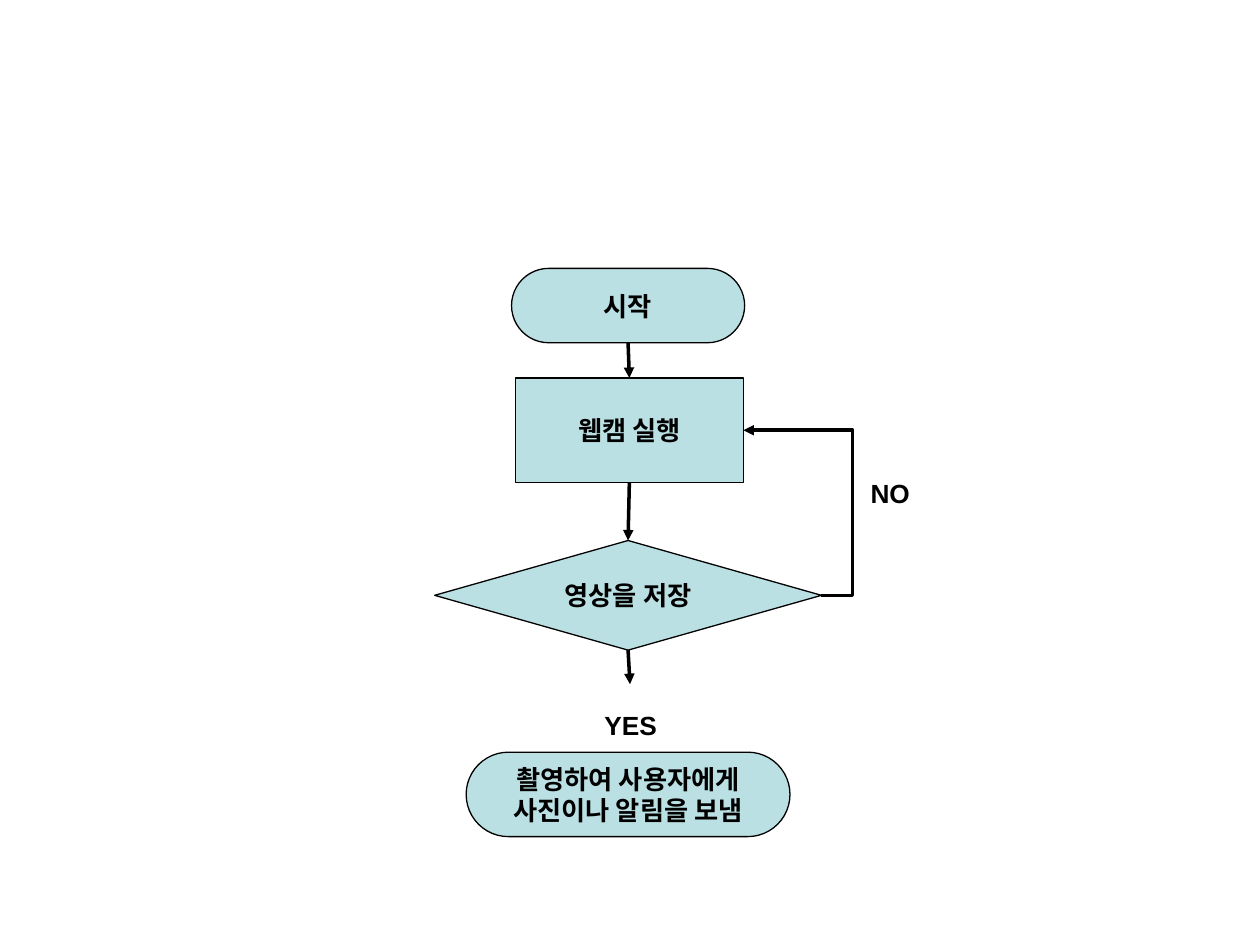
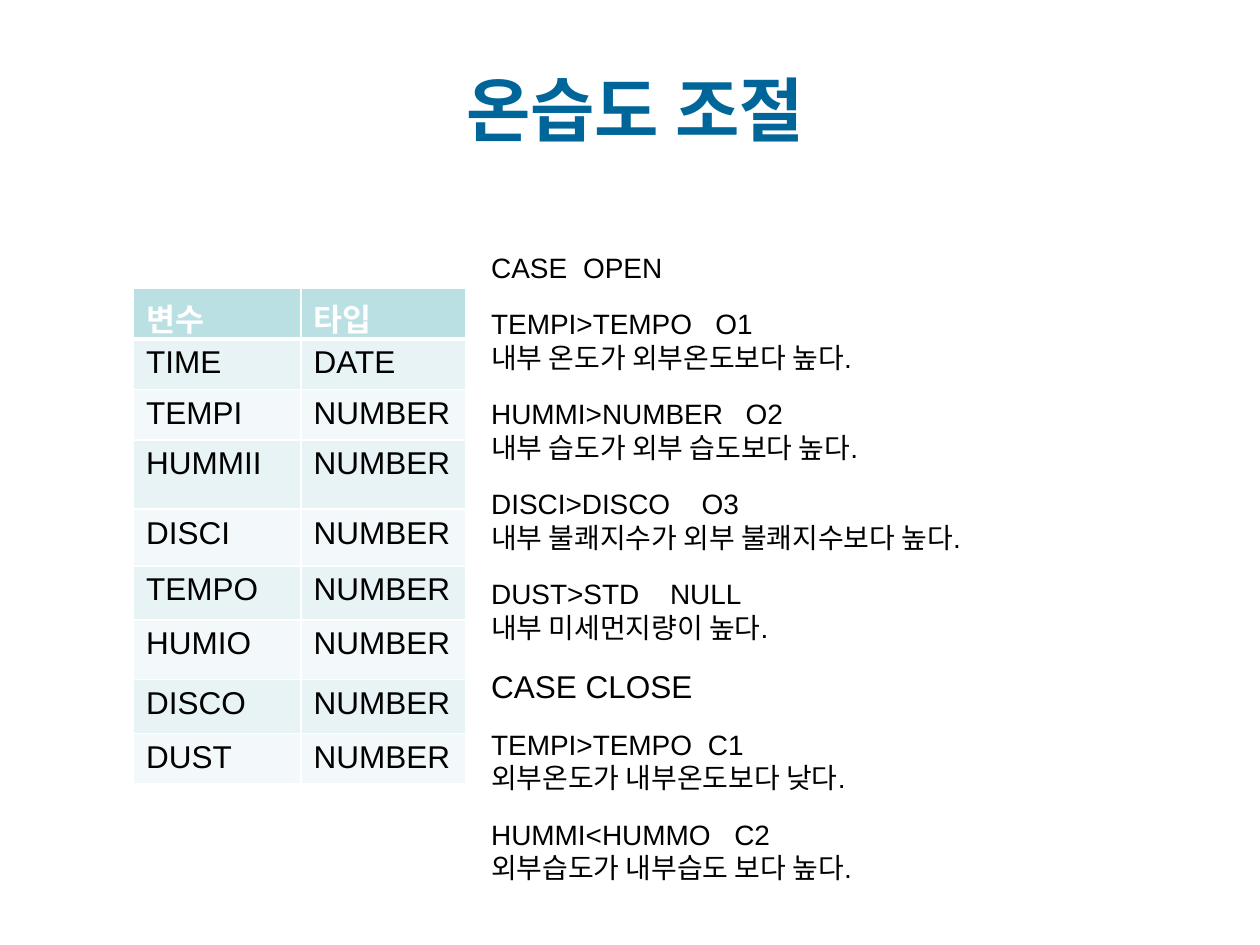
import lxml.etree
import pptx
import pptx.dml.color
import pptx.enum.shapes
import pptx.enum.text
import pptx.oxml
import pptx.oxml.ns
import pptx.util

Inches = pptx.util.Inches
Pt = pptx.util.Pt
SHAPE = pptx.enum.shapes.MSO_SHAPE
CONNECTOR = pptx.enum.shapes.MSO_CONNECTOR
ALIGN = pptx.enum.text.PP_ALIGN
ANCHOR = pptx.enum.text.MSO_ANCHOR
qn = pptx.oxml.ns.qn

INK, WHITE, TEAL, TITLE_BLUE = "000000", "FFFFFF", "BBE0E3", "006699"
ROW_FILLS = ("E7F3F4", "F3F9FA")
BODY_FONT, TITLE_FONT = "Arial", "League Spartan"
TOP, BOTTOM, RIGHT = 0, 2, 3


def color(hex_code):
    return pptx.dml.color.RGBColor.from_string(hex_code)


class Deck:
    """Hold the shared style and the current slide, and draw elements on it."""

    def __init__(self):
        self.prs = pptx.Presentation()
        self.prs.slide_width, self.prs.slide_height = Inches(10), Inches(7.5)
        self.slide = None

    def new_slide(self):
        self.slide = self.prs.slides.add_slide(self.prs.slide_layouts[6])

    def add_text(self, paragraph, text, size, ink=INK, bold=False, font=BODY_FONT):
        run = paragraph.add_run()
        run.text = text
        run.font.name, run.font.size, run.font.bold = font, Pt(size), bold
        run.font.color.rgb = color(ink)

    def step(self, kind, left, top, width, height, text):
        box = self.slide.shapes.add_shape(
            kind, Inches(left), Inches(top), Inches(width), Inches(height))
        box.shadow.inherit = False
        box.fill.solid()
        box.fill.fore_color.rgb = color(TEAL)
        box.line.color.rgb = color(INK)
        box.line.width = Pt(0.75)
        if kind == SHAPE.ROUNDED_RECTANGLE:
            box.adjustments[0] = 0.5
        frame = box.text_frame
        frame.word_wrap = True
        frame.vertical_anchor = ANCHOR.MIDDLE
        frame.paragraphs[0].alignment = ALIGN.CENTER
        self.add_text(frame.paragraphs[0], text, 15, bold=True)
        return box

    def arrow(self, start, site, end=None, end_site=TOP, tip=(0, 0), bend=None):
        kind = CONNECTOR.STRAIGHT if bend is None else CONNECTOR.ELBOW
        link = self.slide.shapes.add_connector(
            kind, 0, 0, Inches(tip[0]), Inches(tip[1]))
        link.begin_connect(start, site)
        if end is not None:
            link.end_connect(end, end_site)
        link.line.color.rgb = color(INK)
        link.line.width = Pt(2)
        outline = link.line._get_or_add_ln()
        lxml.etree.SubElement(outline, qn("a:tailEnd"), type="triangle")
        shape_properties = outline.getparent()
        lxml.etree.SubElement(shape_properties, qn("a:effectLst"))
        if bend is not None:
            geometry = shape_properties.find(qn("a:prstGeom"))
            guides = geometry.find(qn("a:avLst"))
            if guides is None:
                guides = lxml.etree.SubElement(geometry, qn("a:avLst"))
            lxml.etree.SubElement(guides, qn("a:gd"), name="adj1",
                                  fmla=f"val {round(bend * 100000)}")

    def text_frame(self, left, top, width, height, anchor=ANCHOR.TOP):
        box = self.slide.shapes.add_textbox(
            Inches(left), Inches(top), Inches(width), Inches(height))
        box.text_frame.word_wrap = True
        box.text_frame.vertical_anchor = anchor
        return box.text_frame

    def label(self, left, top, width, height, text):
        paragraph = self.text_frame(left, top, width, height).paragraphs[0]
        paragraph.alignment = ALIGN.CENTER
        self.add_text(paragraph, text, 15, bold=True)

    def title(self, text):
        frame = self.text_frame(0.58, 0.3, 8.92, 1.12, ANCHOR.MIDDLE)
        frame.paragraphs[0].alignment = ALIGN.CENTER
        self.add_text(frame.paragraphs[0], text, 40, TITLE_BLUE, True, TITLE_FONT)

    def rules(self, left, top, width, height, groups):
        frame = self.text_frame(left, top, width, height)
        for group_index, (size, tab, *lines) in enumerate(groups):
            for line_index, line in enumerate(lines):
                first = group_index == line_index == 0
                paragraph = frame.paragraphs[0] if first else frame.add_paragraph()
                if group_index and not line_index:
                    paragraph.space_before = Pt(13)
                if "\t" in line:
                    stops = lxml.etree.SubElement(
                        paragraph._p.get_or_add_pPr(), qn("a:tabLst"))
                    lxml.etree.SubElement(
                        stops, qn("a:tab"), pos=str(Inches(tab)), algn="l")
                self.add_text(paragraph, line, size)

    def border(self, cell, widths):
        cell_properties = cell._tc.get_or_add_tcPr()
        for index, (side, points) in enumerate(zip("LRTB", widths)):
            edge = pptx.oxml.parse_xml(
                f'<a:ln{side} {pptx.oxml.ns.nsdecls("a")} w="{Pt(points)}">'
                f'<a:solidFill><a:srgbClr val="{WHITE}"/></a:solidFill></a:ln{side}>')
            cell_properties.insert(index, edge)

    def table(self, left, top, widths, heights, rows):
        grid = self.slide.shapes.add_table(
            len(rows), len(widths), Inches(left), Inches(top),
            Inches(sum(widths)), Inches(sum(heights))).table
        for column, width in zip(grid.columns, widths):
            column.width = Inches(width)
        for row_index, (row, height) in enumerate(zip(rows, heights)):
            grid.rows[row_index].height = Inches(height)
            header = row_index == 0
            fill = TEAL if header else ROW_FILLS[(row_index - 1) % 2]
            edges = (1, 1, 3 if row_index == 1 else 1, 3 if header else 1)
            for column_index, text in enumerate(row):
                cell = grid.cell(row_index, column_index)
                cell.fill.solid()
                cell.fill.fore_color.rgb = color(fill)
                self.border(cell, edges)
                self.add_text(cell.text_frame.paragraphs[0], text, 18,
                              WHITE if header else INK, header)


def webcam_flow(deck):
    deck.new_slide()
    start = deck.step(SHAPE.ROUNDED_RECTANGLE, 4.06, 2.13, 1.85, 0.59, "시작")
    webcam = deck.step(SHAPE.RECTANGLE, 4.09, 3, 1.81, 0.83, "웹캠 실행")
    save = deck.step(SHAPE.DIAMOND, 3.45, 4.29, 3.07, 0.87, "영상을 저장")
    deck.step(SHAPE.ROUNDED_RECTANGLE, 3.7, 5.97, 2.57, 0.67,
              "촬영하여 사용자에게 사진이나 알림을 보냄")
    deck.arrow(start, BOTTOM, webcam)
    deck.arrow(webcam, BOTTOM, save)
    deck.arrow(save, BOTTOM, tip=(5, 5.43))
    deck.arrow(save, RIGHT, webcam, RIGHT, bend=-0.4)
    deck.label(6.77, 3.74, 0.59, 0.43, "NO")
    deck.label(4.57, 5.58, 0.87, 0.43, "YES")


def climate_control(deck):
    deck.new_slide()
    deck.title("온습도 조절")
    measures = ("TEMPI", "HUMMII", "DISCI", "TEMPO", "HUMIO", "DISCO", "DUST")
    variables = [("변수", "타입"), ("TIME", "DATE")]
    variables += [(measure, "NUMBER") for measure in measures]
    deck.table(1.06, 2.29, (1.33, 1.31),
               (0.38, 0.38, 0.4, 0.55, 0.45, 0.43, 0.47, 0.43, 0.38), variables)
    deck.rules(3.8, 1.94, 5.39, 5.08, [
        (16, 0.73, "CASE\tOPEN"),
        (16, 1.78, "TEMPI>TEMPO\tO1", "내부 온도가 외부온도보다 높다."),
        (16, 2.02, "HUMMI>NUMBER\tO2", "내부 습도가 외부 습도보다 높다."),
        (16, 1.67, "DISCI>DISCO\tO3", "내부 불쾌지수가 외부 불쾌지수보다 높다."),
        (16, 1.42, "DUST>STD\tNULL", "내부 미세먼지량이 높다."),
        (18, 0, "CASE CLOSE"),
        (16, 1.72, "TEMPI>TEMPO\tC1", "외부온도가 내부온도보다 낮다."),
        (16, 1.93, "HUMMI<HUMMO\tC2", "외부습도가 내부습도 보다 높다."),
    ])


def main():
    deck = Deck()
    webcam_flow(deck)
    climate_control(deck)
    deck.prs.save("out.pptx")


if __name__ == "__main__":
    main()
